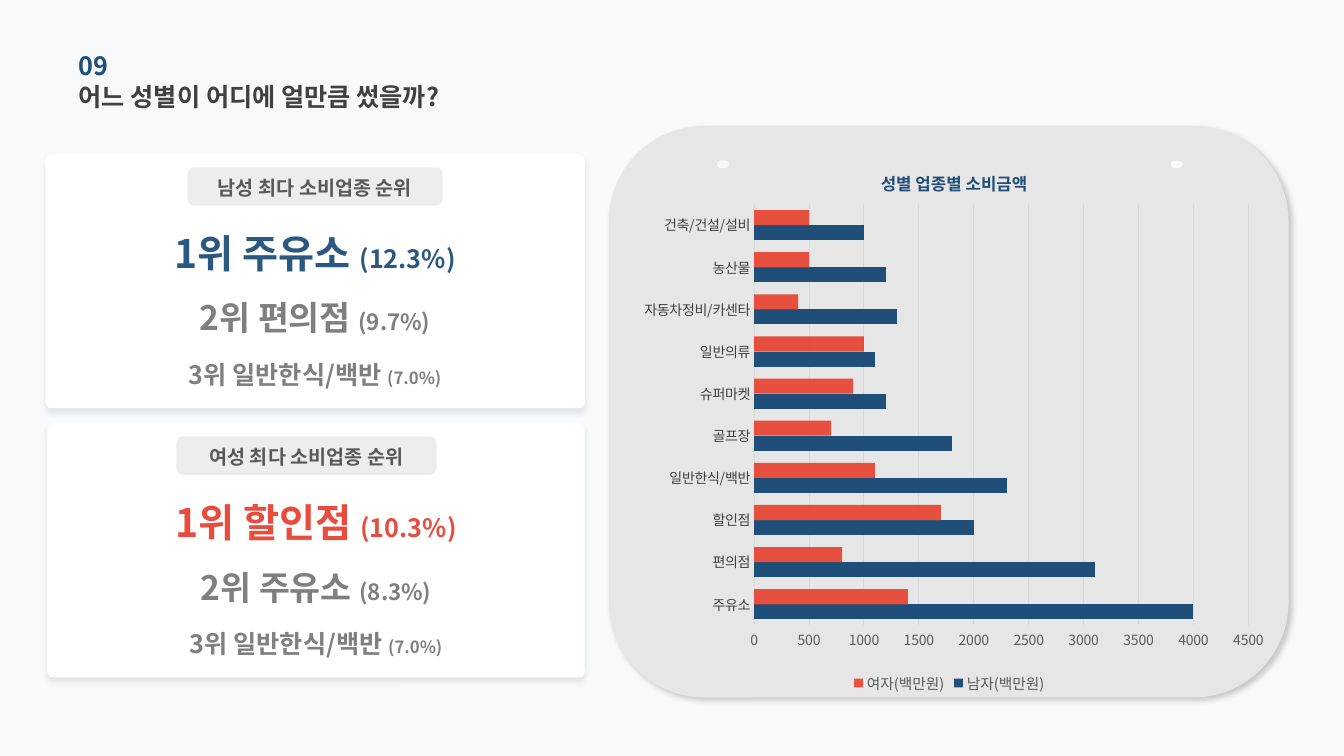
from dataclasses import dataclass

from lxml import etree
from pptx import Presentation
from pptx.chart.data import CategoryChartData
from pptx.dml.color import RGBColor
from pptx.enum.chart import XL_CHART_TYPE, XL_LEGEND_POSITION, XL_TICK_MARK
from pptx.enum.shapes import MSO_SHAPE
from pptx.enum.text import MSO_ANCHOR, PP_ALIGN
from pptx.oxml import parse_xml
from pptx.oxml.ns import nsdecls, qn
from pptx.util import Pt

ROUND = MSO_SHAPE.ROUNDED_RECTANGLE
OVAL = MSO_SHAPE.OVAL
LEFT = PP_ALIGN.LEFT
CENTER = PP_ALIGN.CENTER
MIDDLE = MSO_ANCHOR.MIDDLE
BAR = XL_CHART_TYPE.BAR_CLUSTERED
BOTTOM = XL_LEGEND_POSITION.BOTTOM
NO_TICK = XL_TICK_MARK.NONE
PX = 9144


@dataclass(frozen=True)
class Theme:
    font: str = "Noto Sans CJK KR"
    chart_font: str = "Calibri"
    bg: str = "F8F9FA"
    panel: str = "E7E6E6"
    card: str = "FFFFFF"
    tag: str = "D0CECE"
    grid: str = "D9D9D9"
    black: str = "000000"
    dark: str = "404040"
    body: str = "595959"
    muted: str = "7F7F7F"
    navy: str = "1F4E79"
    blue: str = "2B5880"
    red: str = "E74C3C"
    heading: float = 18
    label: float = 14
    chart_title: float = 12
    legend: float = 10.5
    axis: float = 10
    ranks: tuple = ((28, 18), (24, 16), (18, 12))


T = Theme()


def emu(*lengths):
    return [v * PX for v in lengths]


def rgb(color):
    return RGBColor.from_string(color)


def style_font(font, size, color, bold=False, name=T.font):
    font.name, font.size, font.bold = name, Pt(size), bold
    font.color.rgb = rgb(color)


def add_east_asian(root):
    for latin in list(root.iter(qn("a:latin"))):
        ea = etree.Element(qn("a:ea"), typeface=latin.get("typeface"))
        latin.addnext(ea)


def set_alpha(root, percent):
    clr = root.find(".//" + qn("a:srgbClr"))
    etree.SubElement(clr, qn("a:alpha"), val=str(percent * 1000))


def add_shadow(s, alpha, angle):
    s._element.spPr.append(parse_xml(
        f'<a:effectLst {nsdecls("a")}><a:outerShdw blurRad="{Pt(4)}" '
        f'dist="{Pt(3)}" dir="{angle * 60000}" algn="ctr" rotWithShape="0">'
        f'<a:srgbClr val="{T.black}"><a:alpha val="{alpha * 1000}"/></a:srgbClr>'
        '</a:outerShdw></a:effectLst>'))


def add_box(shapes, kind, x, y, w, h, color, shadow=None, alpha=None, adj=None):
    s = shapes.add_shape(kind, *emu(x, y, w, h))
    s.fill.solid()
    s.fill.fore_color.rgb = rgb(color)
    s.line.fill.background()
    if alpha:
        set_alpha(s._element.spPr, alpha)
    if adj:
        s.adjustments[0] = adj
    if shadow:
        add_shadow(s, *shadow)
    else:
        s.shadow.inherit = False
    return s


def add_text(shapes, x, y, w, h, runs, color, align=CENTER):
    s = shapes.add_textbox(*emu(x, y, w, h))
    tf = s.text_frame
    tf.word_wrap = True
    tf.vertical_anchor = MIDDLE
    tf.margin_left = tf.margin_right = tf.margin_top = tf.margin_bottom = 0
    p = tf.paragraphs[0]
    p.alignment = align
    for text, size in runs:
        r = p.add_run()
        r.text = text
        style_font(r.font, size, color, True)


def add_heading(shapes, x, y, w):
    lines = (("09", T.navy), ("어느 성별이 어디에 얼만큼 썼을까?", T.dark))
    for i, (text, color) in enumerate(lines):
        add_text(shapes, x, y + 31 * i, w, 41, [(text, T.heading)], color, LEFT)


def add_rank_card(shapes, x, y, w, h, title, tag_x, tag_w, accent, ranks):
    g = shapes.add_group_shape().shapes
    add_box(g, ROUND, x, y, w, h, T.card, shadow=(8, 90), adj=0.023)
    rows = zip(ranks, T.ranks, ((74, 48), (120, 84), (176, 84)),
               (accent, T.muted, T.muted))
    for (name, share), (big, small), (top, height), color in rows:
        add_text(g, x, y + top, w, height,
                 [(name + " ", big), (share, small)], color)
    add_box(g, ROUND, x + tag_x, y + 13, tag_w, 38, T.tag, alpha=36)
    add_text(g, x + tag_x + 10, y + 13, tag_w - 20, 41,
             [(title, T.label)], T.body)


def set_layout(parent, x, y, w=None, h=None):
    for old in parent.findall(qn("c:layout")):
        parent.remove(old)
    inner = '<c:layoutTarget val="inner"/>' if w else ""
    size = f'<c:w val="{w}"/><c:h val="{h}"/>' if w else ""
    layout = parse_xml(
        f'<c:layout {nsdecls("c")}><c:manualLayout>{inner}'
        '<c:xMode val="edge"/><c:yMode val="edge"/>'
        f'<c:x val="{x}"/><c:y val="{y}"/>{size}</c:manualLayout></c:layout>')
    tx = parent.find(qn("c:tx"))
    if tx is None:
        parent.insert(0, layout)
    else:
        tx.addnext(layout)


def no_fill():
    return parse_xml(f'<c:spPr {nsdecls("c", "a")}><a:noFill/>'
                     '<a:ln><a:noFill/></a:ln></c:spPr>')


def add_spending_chart(shapes, x, y, w, h):
    data = CategoryChartData()
    data.categories = ["주유소", "편의점", "할인점", "일반한식/백반", "골프장",
                       "슈퍼마켓", "일반의류", "자동차정비/카센타", "농산물",
                       "건축/건설/설비"]
    data.add_series("남자(백만원)", [4000, 3100, 2000, 2300, 1800,
                               1200, 1100, 1300, 1200, 1000])
    data.add_series("여자(백만원)", [1400, 800, 1700, 1100, 700,
                               900, 1000, 400, 500, 500])
    chart = shapes.add_chart(BAR, *emu(x, y, w, h), data).chart
    style_font(chart.font, T.axis, T.black, name=T.chart_font)

    chart.has_title = True
    p = chart.chart_title.text_frame.paragraphs[0]
    r = p.add_run()
    r.text = "성별 업종별 소비금액"
    style_font(r.font, T.chart_title, T.navy, True)

    chart.has_legend = True
    chart.legend.position = BOTTOM
    chart.legend.include_in_layout = False
    style_font(chart.legend.font, T.legend, T.body)

    plot = chart.plots[0]
    plot.gap_width = 80
    plot.overlap = 0
    plot.vary_by_categories = False
    for series, color in zip(plot.series, (T.navy, T.red)):
        series.format.fill.solid()
        series.format.fill.fore_color.rgb = rgb(color)
    set_alpha(plot.series[1].format.fill._xPr, 98)

    cat, val = chart.category_axis, chart.value_axis
    for axis, color in ((cat, T.dark), (val, T.body)):
        axis.major_tick_mark = axis.minor_tick_mark = NO_TICK
        style_font(axis.tick_labels.font, T.axis, color)
    val.minimum_scale, val.maximum_scale, val.major_unit = 0, 4500, 500
    val.format.line.fill.background()
    for line in (cat.format.line, val.major_gridlines.format.line):
        line.color.rgb = rgb(T.grid)
        line.width = Pt(0.75)

    root = chart.element
    area = root.find(".//" + qn("c:plotArea"))
    set_layout(area, 0.2, 0.11, 0.76, 0.76)
    set_layout(root.find(".//" + qn("c:title")), 0.39, 0.04)
    area.append(no_fill())
    root.find(qn("c:chart")).addnext(no_fill())
    add_east_asian(root)


def add_chart_panel(shapes, x, y, w, h):
    add_box(shapes, ROUND, x, y, w, h, T.panel, shadow=(20, 45))
    for hole_x in (107, 557):
        add_box(shapes, OVAL, x + hole_x, y + 34, 12, 8, T.bg)
    add_spending_chart(shapes, x + 15, y + 17, w - 29, h - 17)


def main():
    prs = Presentation()
    prs.slide_width, prs.slide_height = emu(1333, 750)
    slide = prs.slides.add_slide(prs.slide_layouts[6])
    slide.background.fill.solid()
    slide.background.fill.fore_color.rgb = rgb(T.bg)
    shapes = slide.shapes
    add_heading(shapes, 78, 44, 452)
    add_rank_card(shapes, 45, 153, 535, 252, "남성 최다 소비업종 순위", 141, 253, T.blue,
                  (("1위 주유소", "(12.3%)"), ("2위 편의점", "(9.7%)"),
                   ("3위 일반한식/백반", "(7.0%)")))
    add_rank_card(shapes, 47, 420, 533, 252, "여성 최다 소비업종 순위", 128, 258, T.red,
                  (("1위 할인점", "(10.3%)"), ("2위 주유소", "(8.3%)"),
                   ("3위 일반한식/백반", "(7.0%)")))
    add_chart_panel(shapes, 604, 125, 674, 567)
    add_east_asian(shapes._spTree)
    prs.save("out.pptx")


if __name__ == "__main__":
    main()
